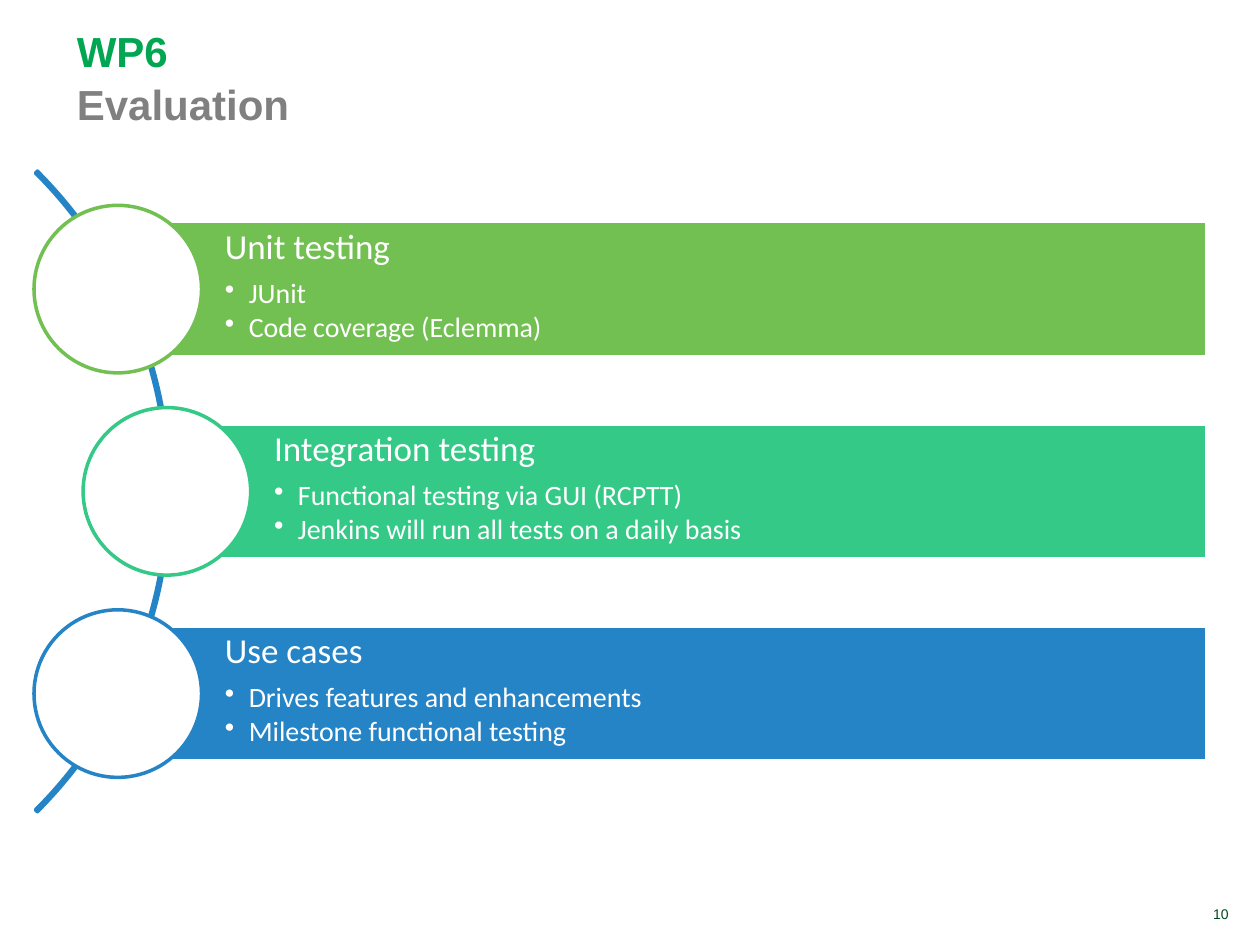
import pptx
import pptx.util
import pptx.dml.color
import pptx.enum.shapes
import pptx.enum.text
from lxml import etree

Color = pptx.dml.color.RGBColor
Shape = pptx.enum.shapes.MSO_SHAPE
Anchor = pptx.enum.text.MSO_ANCHOR
Align = pptx.enum.text.PP_ALIGN
Pt = pptx.util.Pt
Inches = pptx.util.Inches

WHITE = Color(0xFF, 0xFF, 0xFF)
GREEN = Color(0x73, 0xC0, 0x52)
TEAL = Color(0x35, 0xC9, 0x87)
BLUE = Color(0x24, 0x84, 0xC6)
BRAND = Color(0x00, 0xA6, 0x51)
GRAY = Color(0x80, 0x80, 0x80)
DARK = Color(0x00, 0x46, 0x21)

COLS, ROWS = 100, 75  # grid of the slide

# Heading, bullets, colour and centre column of each circle
ITEMS = [
    ("Unit testing", ["JUnit", "Code coverage (Eclemma)"], GREEN, 9.35),
    ("Integration testing", ["Functional testing via GUI (RCPTT)",
                             "Jenkins will run all tests on a daily basis"], TEAL, 13.25),
    ("Use cases", ["Drives features and enhancements",
                   "Milestone functional testing"], BLUE, 9.35),
]
FIRST, PITCH = 22.95, 16.05  # rows of the circle centres
RIGHT, HIGH, ROUND = 95.8, 10.7, 13.3  # bar end, bar height, circle size
ARC = 71.9


def put(item, **values):
    for name, value in values.items():
        setattr(item, name, value)


class Deck:
    def __init__(self):
        self.file = pptx.Presentation()
        put(self.file, slide_width=Inches(10), slide_height=Inches(7.5))
        self.slide = self.file.slides.add_slide(self.file.slide_layouts[5])

    def area(self, left, top, wide, high):
        col, row = self.file.slide_width / COLS, self.file.slide_height / ROWS
        return [round(n * unit) for n, unit in zip((left, top, wide, high), (col, row) * 2)]

    def font(self, part, size, color, name="Calibri", bold=False):
        put(part.font, size=Pt(size), name=name, bold=bold)
        part.font.color.rgb = color

    def title(self, place, lines):
        box = self.slide.shapes.title
        put(box, **dict(zip(("left", "top", "width", "height"), self.area(*place))))
        put(box.text_frame, vertical_anchor=Anchor.BOTTOM, word_wrap=True,
            auto_size=pptx.enum.text.MSO_AUTO_SIZE.NONE)
        para = box.text_frame.paragraphs[0]
        put(para, alignment=Align.LEFT, line_spacing=1.05)
        for spot, (text, color) in enumerate(lines):
            if spot:
                para.add_line_break()
            run = para.add_run()
            run.text = text
            self.font(run, 24, color, "Arial", True)

    def number(self, place, text):
        frame = self.slide.shapes.add_textbox(*self.area(*place)).text_frame
        put(frame, word_wrap=True, vertical_anchor=Anchor.BOTTOM)
        para = frame.paragraphs[0]
        put(para, text=text, alignment=Align.RIGHT)
        self.font(para, 8, DARK, "Arial")

    def shape(self, kind, place, fill, line):
        item = self.slide.shapes.add_shape(kind, *self.area(*place))
        item.shadow.inherit = False
        if fill is None:
            item.fill.background()
        else:
            item.fill.solid()
            item.fill.fore_color.rgb = fill
        item.line.color.rgb = line
        item.line.width = Pt(2)
        return item

    def arc(self, place):
        item = self.shape(Shape.BLOCK_ARC, place, None, BLUE)
        for spot, value in enumerate((189, 27, 0.003)):
            item.adjustments[spot] = value

    def bullet(self, para):
        props = para._p.get_or_add_pPr()
        put_in = {"marL": Inches(0.19), "indent": -Inches(0.19), "lvl": 1}
        for name, value in put_in.items():
            props.set(name, str(value))
        mark = etree.SubElement(props, pptx.oxml.ns.qn("a:buChar"))
        mark.set("char", "•")

    def bar(self, place, color, head, points):
        frame = self.shape(Shape.RECTANGLE, place, color, WHITE).text_frame
        edge = Inches(0.06)
        put(frame, word_wrap=True, vertical_anchor=Anchor.TOP, margin_left=Inches(0.85),
            margin_top=edge, margin_right=edge, margin_bottom=edge)
        for spot, text in enumerate([head] + points):
            para = frame.add_paragraph() if spot else frame.paragraphs[0]
            if spot:
                self.bullet(para)
            put(para, text=text, alignment=Align.LEFT, line_spacing=0.9,
                space_after=Pt(2 if spot else 7))
            self.font(para, 16 if spot else 20, WHITE)


def main():
    deck = Deck()

    # Title and page number
    deck.title((5.1, 1.6, 68.1, 9.1), [("WP6", BRAND), ("Evaluation", GRAY)])
    deck.number((85.4, 71.4, 13.1, 2.3), "10")

    # Arc behind the circles, centred on the middle row
    deck.arc((-58.4, FIRST + PITCH - ARC / 2, ARC, ARC))

    # Bars, each with a circle centred on its left end
    for step, (head, points, color, left) in enumerate(ITEMS):
        mid = FIRST + step * PITCH
        deck.bar((left, mid - HIGH / 2, RIGHT - left, HIGH), color, head, points)
        deck.shape(Shape.OVAL, (left - ROUND / 2, mid - ROUND / 2, ROUND, ROUND), WHITE, color)

    deck.file.save("out.pptx")


if __name__ == "__main__":
    main()
